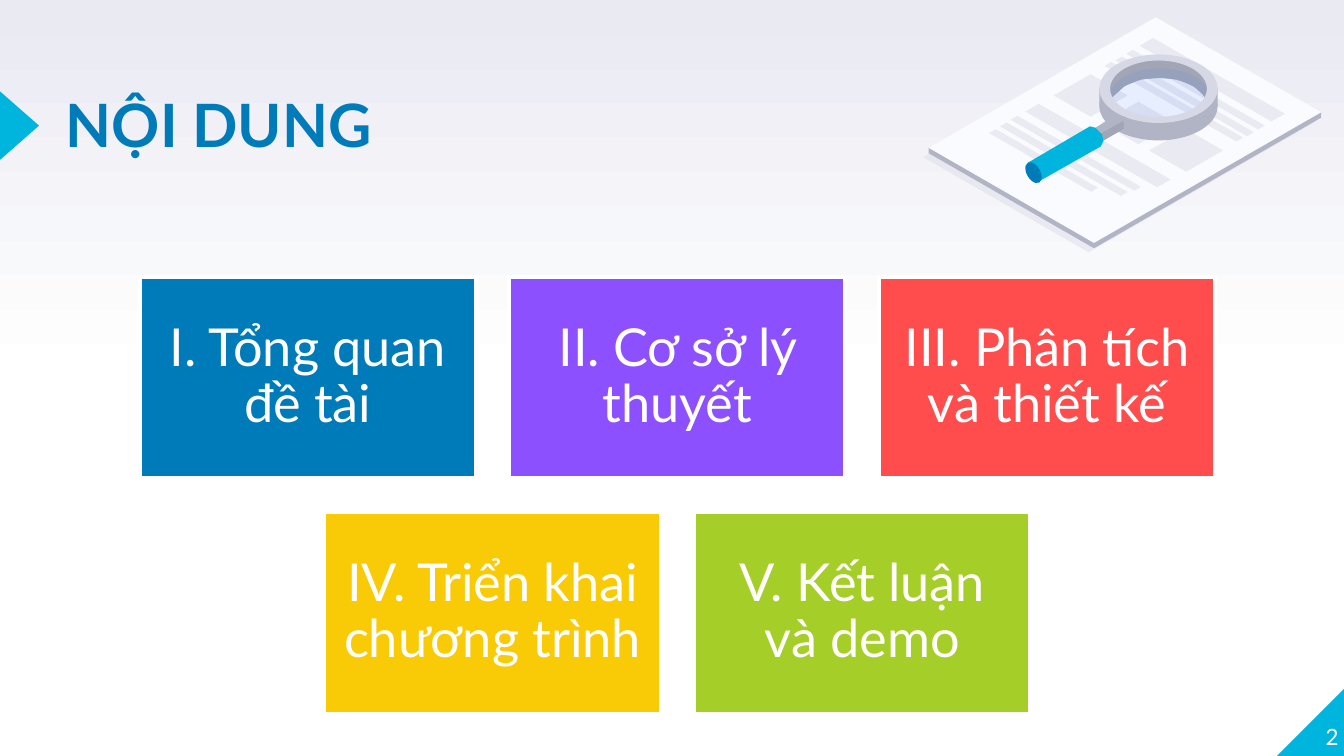
import math

from lxml import etree
from pptx import Presentation
from pptx.dml.color import RGBColor
from pptx.enum.shapes import MSO_SHAPE
from pptx.enum.text import MSO_ANCHOR, MSO_AUTO_SIZE, PP_ALIGN
from pptx.oxml.ns import qn
from pptx.util import Inches, Pt

RECTANGLE, OVAL = MSO_SHAPE.RECTANGLE, MSO_SHAPE.OVAL
TRIANGLE, RIGHT_TRIANGLE = MSO_SHAPE.ISOSCELES_TRIANGLE, MSO_SHAPE.RIGHT_TRIANGLE
TOP, MIDDLE, BOTTOM = MSO_ANCHOR.TOP, MSO_ANCHOR.MIDDLE, MSO_ANCHOR.BOTTOM
LEFT, CENTER, RIGHT = PP_ALIGN.LEFT, PP_ALIGN.CENTER, PP_ALIGN.RIGHT
NO_AUTOFIT = MSO_AUTO_SIZE.NONE

THEME = {
    "font": "Lato", "title": 32, "card": 28, "number": 12,
    "white": "FFFFFF", "mist": "E9EAF2", "cyan": "00B5DD", "blue": "007BB9",
    "purple": "8C50FF", "red": "FF4D4D", "yellow": "F9CB07", "green": "A6CE28",
    "paper": "FAFBFF", "silver": "D6D8E5", "steel": "B1B4C4", "slate": "A1A5B5",
    "glass": "3E7EFF",
}
WIDTH = 10
HEIGHT = WIDTH * 9 / 16
SLOPE = 0.575  # rise of the isometric axes


def paint(shape, color, opacity=100):
    shape.shadow.inherit = False
    shape.line.fill.background()
    shape.fill.solid()
    shape.fill.fore_color.rgb = RGBColor.from_string(THEME[color])
    if opacity < 100:
        color_element = shape.fill._xPr.find(qn("a:solidFill"))[0]
        etree.SubElement(color_element, qn("a:alpha"), val=str(opacity * 1000))


def write(shape, text, size, color, align, anchor, inset=0, spacing=1, bold=False):
    frame = shape.text_frame
    frame_format = {"word_wrap": True, "auto_size": NO_AUTOFIT, "vertical_anchor": anchor}
    for side in ("left", "top", "right", "bottom"):
        frame_format["margin_" + side] = Inches(inset)
    for name, value in frame_format.items():
        setattr(frame, name, value)
    frame.text = text
    paragraph = frame.paragraphs[0]
    paragraph.alignment, paragraph.line_spacing = align, spacing
    font = paragraph.runs[0].font
    font_format = {"name": THEME["font"], "size": Pt(THEME[size]), "bold": bold}
    for name, value in font_format.items():
        setattr(font, name, value)
    font.color.rgb = RGBColor.from_string(THEME[color])


presentation = Presentation()
presentation.slide_width, presentation.slide_height = Inches(WIDTH), Inches(HEIGHT)
slide = presentation.slides.add_slide(presentation.slide_layouts[5])

# Background: white up to the middle, then mist towards the top
background = slide.background.fill
background.gradient()
background.gradient_angle = 90
for stop, position, color in zip(background.gradient_stops, (0.5, 1), ("white", "mist")):
    stop.position = position
    stop.color.rgb = RGBColor.from_string(THEME[color])

# Corner and title marker
corner = 0.51
for kind, left, top, height, rotation in (
    (RIGHT_TRIANGLE, WIDTH - corner + 0.01, HEIGHT - corner, corner, 270),
    (TRIANGLE, -0.11, 0.79, 0.29, 90),
):
    accent = slide.shapes.add_shape(
        kind, Inches(left), Inches(top), Inches(corner), Inches(height))
    accent.rotation = rotation
    paint(accent, "cyan")

title = slide.shapes.title
title_place = {"left": 0.49, "top": 0.76, "width": 6.17, "height": 0.45}
for name, value in title_place.items():
    setattr(title, name, Inches(value))
write(title, "NỘI DUNG", "title", "blue", LEFT, TOP, spacing=0.8, bold=True)

number = slide.shapes.add_textbox(
    Inches(WIDTH - 0.54), Inches(5.07), Inches(0.5), Inches(corner))
write(number, "2", "number", "white", RIGHT, BOTTOM)

# Page: isometric tiles as left corner, length down-right, length up-right
tiles = [
    (6.87, 1.17, 1.23, 1.69, "silver", 40),
    (6.91, 1.14, 1.23, 1.69, "steel", 100),
    (6.91, 1.1, 1.23, 1.69, "paper", 100),
]
stripes = [
    (8.48, 0.34, 0.98, 0.1), (8.38, 0.4, 0.98, 0.05), (8.3, 0.45, 0.98, 0.05),
    (8.22, 0.49, 0.98, 0.05), (7.63, 0.83, 0.98, 0.1), (7.52, 0.89, 0.92, 0.05),
    (7.44, 0.94, 0.9, 0.05), (7.36, 0.99, 0.76, 0.05),
]
blocks = [(7.84 + 0.355 * i, 0.71 + 0.205 * i, 0.275, 0.275) for i in range(3)]
tiles += [(*tile, "mist", 100) for tile in stripes + blocks]

outlines = []
for x, y, down, up, color, opacity in tiles:
    corners = [(x, y), (x + down, y + down * SLOPE),
               (x + down + up, y + (down - up) * SLOPE), (x + up, y - up * SLOPE)]
    outlines.append(([corners], color, opacity))
page_edge = [(6.91, 1.1), (6.91, 1.14), (6.95, 1.12)], [(9.83, 0.83), (9.83, 0.88), (9.79, 0.86)]
outlines.insert(2, (page_edge, "steel", 100))

# Magnifier: each ring is an outer and an inner ellipse
lens_x, ring_y, base_y = 8.62, 0.66, 0.79
turns = [math.tau * step / 72 for step in range(72)]
rings = {
    center_y: [[(lens_x + radius_x * math.cos(turn), center_y + radius_y * math.sin(turn))
                for turn in turns] for radius_x, radius_y in ((0.44, 0.255), (0.36, 0.21))]
    for center_y in (ring_y, base_y)
}
glass = [(8.63 + 0.37 * math.cos(turn), 0.72 + 0.21 * math.sin(turn)) for turn in turns]
back_wall = [
    (8.97, 0.72), (8.88, 0.64), (8.76, 0.59), (8.63, 0.58), (8.49, 0.59), (8.37, 0.64),
    (8.28, 0.72), (8.23, 0.65), (8.28, 0.53), (8.46, 0.44), (8.78, 0.44), (8.99, 0.57),
    (9, 0.65)]
front_wall = [
    (8.22, 0.73), (8.22, 0.81), (8.28, 0.91), (8.42, 0.99), (8.7, 1.02), (8.88, 0.98),
    (8.98, 0.87), (9.02, 0.73), (8.91, 0.83), (8.76, 0.88), (8.58, 0.89), (8.38, 0.86)]
left_side = [(8.18, 0.79), (8.18, 0.65), (8.25, 0.77)]
right_side = [(9.06, 0.79), (9.06, 0.65), (9.01, 0.72)]
neck_top = [(8.36, 0.9), (8.17, 1), (8.12, 0.97), (8.3, 0.86)]
neck_side = [(8.36, 0.96), (8.17, 1.07), (8.17, 1), (8.36, 0.9)]
handle = [(8.11, 0.94), (7.65, 1.21), (7.73, 1.35), (8.19, 1.09), (8.21, 1.05),
          (8.2, 1), (8.15, 0.95)]
outlines += [
    (rings[base_y], "steel", 100), ([back_wall], "slate", 100),
    ([left_side], "steel", 100), ([right_side], "steel", 100), ([glass], "glass", 10),
    ([front_wall], "steel", 100), (rings[ring_y], "silver", 100),
    ([neck_top], "steel", 100), ([neck_side], "slate", 100), ([handle], "cyan", 100),
]

illustration = slide.shapes.add_group_shape().shapes
for contours, color, opacity in outlines:
    paths = [[(Inches(x), Inches(y)) for x, y in contour] for contour in contours]
    builder = illustration.build_freeform(*paths[0][0], scale=1.0)
    builder.add_line_segments(paths[0][1:], close=True)
    for path in paths[1:]:
        builder.move_to(*path[0])
        builder.add_line_segments(path[1:], close=True)
    paint(builder.convert_to_shape(), color, opacity)

handle_end = illustration.add_shape(
    OVAL, Inches(7.64), Inches(1.2), Inches(0.1), Inches(0.17))
handle_end.rotation = 330
paint(handle_end, "blue")

# Cards: two centred rows
card_width, card_height, gap = 2.5, 1.5, 0.25
cards_center, cards_top = 5.04, 2.06
card_rows = [
    [("I. Tổng quan đề tài", "blue"), ("II. Cơ sở lý thuyết", "purple"),
     ("III. Phân tích và thiết kế", "red")],
    [("IV. Triển khai chương trình", "yellow"), ("V. Kết luận và demo", "green")],
]
for row, cards in enumerate(card_rows):
    row_left = cards_center - (len(cards) * (card_width + gap) - gap) / 2
    for column, (text, color) in enumerate(cards):
        card = slide.shapes.add_shape(
            RECTANGLE, Inches(row_left + column * (card_width + gap)),
            Inches(cards_top + row * (card_height + gap)),
            Inches(card_width), Inches(card_height))
        paint(card, color)
        card.line.color.rgb = RGBColor.from_string(THEME["white"])
        card.line.width = Pt(2)
        write(card, text, "card", "white", CENTER, MIDDLE, inset=0.12, spacing=0.9)

presentation.save("out.pptx")
